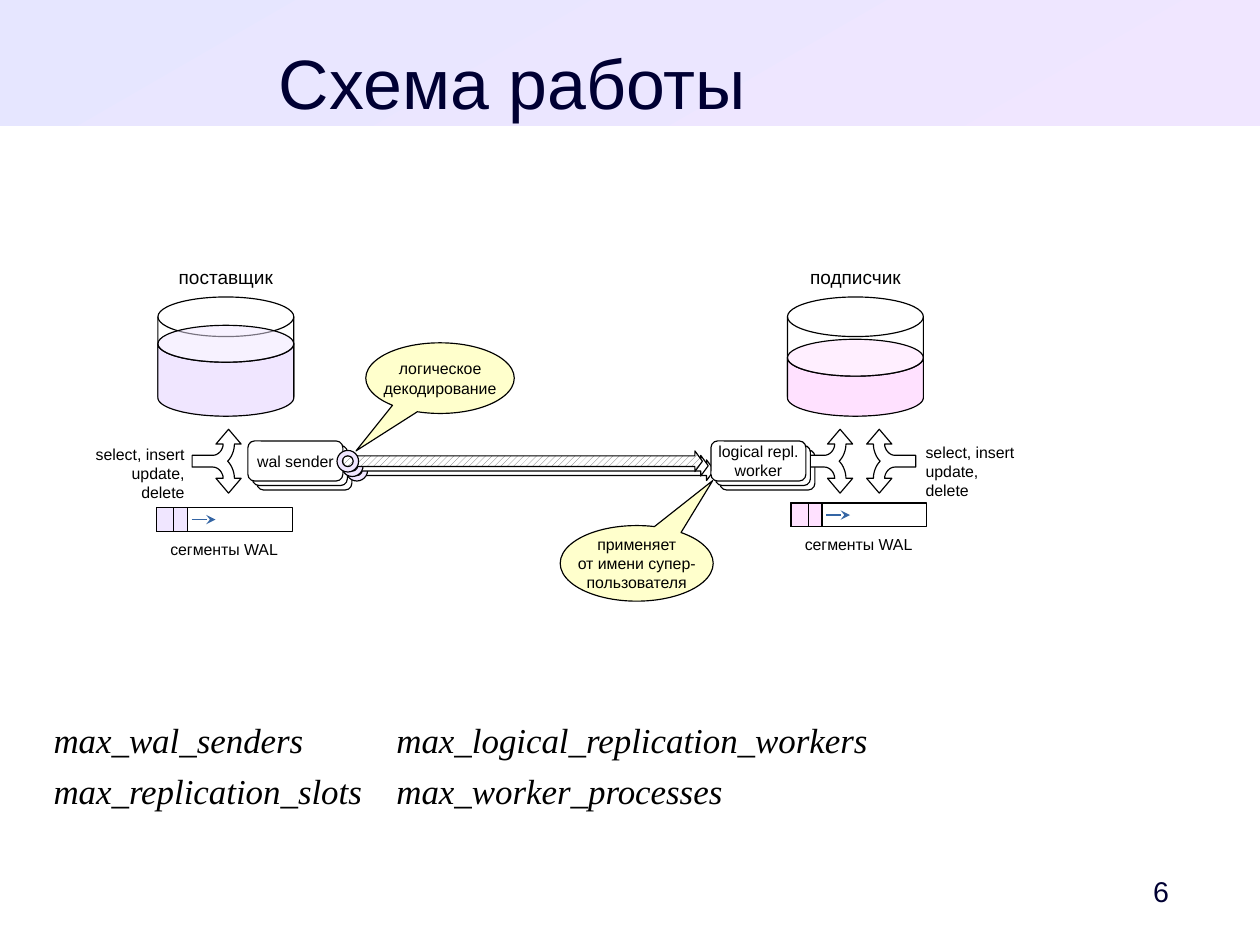
from math import cos, pi, sin

from lxml.etree import SubElement
from pptx import Presentation
from pptx.dml.color import RGBColor
from pptx.enum.dml import MSO_PATTERN
from pptx.enum.shapes import MSO_CONNECTOR, MSO_SHAPE
from pptx.enum.text import MSO_ANCHOR, PP_ALIGN
from pptx.oxml.ns import qn
from pptx.util import Cm, Pt

BLACK = RGBColor(0x00, 0x00, 0x00)
WHITE = RGBColor(0xFF, 0xFF, 0xFF)
NAVY = RGBColor(0x00, 0x00, 0x33)
BLUE = RGBColor(0x34, 0x65, 0xA4)
GRAY = RGBColor(0x66, 0x66, 0x66)
ICE = RGBColor(0xE6, 0xE6, 0xFF)
LILAC = RGBColor(0xF0, 0xE6, 0xFF)
PINK = RGBColor(0xFF, 0xE1, 0xFF)
YELLOW = RGBColor(0xFF, 0xFF, 0xCC)

SMALL = {"name": "Arial", "size": Pt(10)}
HEADING = {"name": "Arial", "size": Pt(12)}
TITLE = {"name": "Arial", "size": Pt(44)}
NUMBER = {"name": "Arial", "size": Pt(18)}
SETTING = {"name": "Times New Roman", "size": Pt(22), "italic": True}

MARGINS = (0.25, 0.13, 0.25, 0.13)
DISK_WIDTH = 3.02
RIM = 0.41


def write(frame, lines, font, align=PP_ALIGN.CENTER, color=BLACK,
          margins=MARGINS, anchor=MSO_ANCHOR.TOP, wrap=False):
    left, top, right, bottom = (Cm(margin) for margin in margins)
    layout = {"margin_left": left, "margin_top": top, "margin_right": right,
              "margin_bottom": bottom, "vertical_anchor": anchor, "word_wrap": wrap}
    for name, value in layout.items():
        setattr(frame, name, value)
    for index, line in enumerate(lines):
        para = frame.add_paragraph() if index else frame.paragraphs[0]
        para.alignment = align
        span = para.add_run()
        span.text = line
        for name, value in font.items():
            setattr(span.font, name, value)
        span.font.color.rgb = color


def add_label(page, place, lines, font=SMALL, **options):
    box = page.shapes.add_textbox(*(Cm(length) for length in place))
    write(box.text_frame, lines, font, **options)
    return box


def paint(shape, color):
    shape.shadow.inherit = False
    if color is None:
        shape.fill.background()
    else:
        shape.fill.solid()
        shape.fill.fore_color.rgb = color
    shape.line.color.rgb = BLACK
    shape.line.width = Pt(0)
    return shape


def add_figure(page, kind, place, color=WHITE, adjust=(), lines=()):
    shape = paint(page.shapes.add_shape(kind, *(Cm(length) for length in place)), color)
    for index, value in enumerate(adjust):
        shape.adjustments[index] = value
    if lines:
        write(shape.text_frame, lines, SMALL, anchor=MSO_ANCHOR.MIDDLE)
    return shape


def add_outline(page, points, color):
    corners = [(Cm(x), Cm(y)) for x, y in points]
    builder = page.shapes.build_freeform(*corners[0])
    builder.add_line_segments(corners[1:], close=True)
    return paint(builder.convert_to_shape(), color)


def curve(a, b, c, d, steps=8):
    for step in range(steps + 1):
        t = step / steps
        weights = ((1 - t) ** 3, 3 * t * (1 - t) ** 2, 3 * t * t * (1 - t), t ** 3)
        yield tuple(sum(w * p[axis] for w, p in zip(weights, (a, b, c, d)))
                    for axis in (0, 1))


def add_fork(page, tail, direction):
    middle = 10.25
    half = [(0, 0.13),
            *curve((0.46, 0.13), (0.58, 0.13), (0.69, 0.25), (0.69, 0.38)),
            (0.53, 0.38), (0.81, 0.71), (1.09, 0.38),
            *curve((0.94, 0.38), (0.94, 0.24), (0.88, 0.09), (0.79, 0))]
    whole = half + [(x, -y) for x, y in reversed(half[:-1])]
    add_outline(page, [(tail + direction * x, middle + y) for x, y in whole], WHITE)


def add_database(page, left, level, color, name):
    base = 8.84
    radius = DISK_WIDTH / 2
    add_figure(page, MSO_SHAPE.FLOWCHART_MAGNETIC_DISK, (left, 6.6, DISK_WIDTH, 2.64))
    arc = [(left + radius + radius * cos(pi * step / 36), RIM * sin(pi * step / 36))
           for step in range(37)]
    bottom = [(x, base + y) for x, y in arc]
    top = [(x, level + y) for x, y in reversed(arc)]
    add_outline(page, bottom + top, color)
    surface = add_figure(page, MSO_SHAPE.OVAL,
                         (left, level - RIM, DISK_WIDTH, 2 * RIM), color)
    tone = surface._element.spPr.find(qn("a:solidFill"))[0]
    SubElement(tone, qn("a:alpha"), val="50000")
    add_label(page, (left, 5.77, DISK_WIDTH, 0.74), [name], HEADING)


def add_segments(page, left, top, color):
    height = 0.53
    for offset, width, fill in ((0, 0.38, color), (0.38, 0.31, color),
                                (0, DISK_WIDTH, None)):
        add_figure(page, MSO_SHAPE.RECTANGLE, (left + offset, top, width, height), fill)
    y = Cm(top + height / 2)
    arrow = page.shapes.add_connector(MSO_CONNECTOR.STRAIGHT,
                                      Cm(left + 0.78), y, Cm(left + 1.31), y)
    arrow.line.color.rgb = BLUE
    arrow.line.width = Pt(0.85)
    SubElement(arrow.line._get_or_add_ln(), qn("a:tailEnd"), type="stealth")
    SubElement(arrow._element.spPr, qn("a:effectLst"))
    add_label(page, (left + 0.05, top + 0.58, 2.9, 0.66), ["сегменты WAL"])


def add_stream(page, depth):
    shift = 0.1 * depth
    pipe = add_figure(page, MSO_SHAPE.RIGHT_ARROW,
                      (7.51 + 0.13 * depth, 10.02 + shift, 8.1, 0.46),
                      adjust=(0.513, 0.365))
    if depth == 0:
        pipe.fill.patterned()
        pipe.fill.pattern = MSO_PATTERN.WIDE_UPWARD_DIAGONAL
        pipe.fill.fore_color.rgb = GRAY
        pipe.fill.back_color.rgb = WHITE
    for left, lines in ((5.51, ["wal sender"]), (15.8, ["logical repl.", "worker"])):
        add_figure(page, MSO_SHAPE.ROUNDED_RECTANGLE,
                   (left + shift, 9.8 + shift, 2.11, 0.89),
                   adjust=(0.167,), lines=() if depth else lines)
    add_figure(page, MSO_SHAPE.DONUT, (7.49 + shift, 10.01 + shift, 0.48, 0.48),
               LILAC, (0.25,))


def add_header(page):
    title = page.shapes.title
    place = {"left": Cm(1.19), "top": Cm(0.74), "width": Cm(20.4), "height": Cm(1.73)}
    for name, value in place.items():
        setattr(title, name, value)
    write(title.text_frame, ["Схема работы"], TITLE, color=NAVY,
          margins=(0, 0.15, 0, 0), wrap=True)
    band = add_figure(page, MSO_SHAPE.RECTANGLE, (0, 0, 28, 2.8))
    band.line.fill.background()
    band.fill.gradient()
    band.fill.gradient_angle = 300
    for stop, color in zip(band.fill.gradient_stops, (ICE, LILAC)):
        stop.color.rgb = color
    title._element.addprevious(band._element)


def add_settings(page):
    box = add_label(page, (1.19, 15.98, 25.6, 2.3),
                    ["max_wal_senders\tmax_logical_replication_workers",
                     "max_replication_slots\tmax_worker_processes"],
                    SETTING, align=PP_ALIGN.LEFT, margins=(0, 0, 0, 0), wrap=True)
    for para in box.text_frame.paragraphs:
        para.space_after = Pt(5.7)
        tabs = SubElement(para._p.get_or_add_pPr(), qn("a:tabLst"))
        SubElement(tabs, qn("a:tab"), pos=str(Cm(7.62)), algn="l")


def main():
    deck = Presentation()
    deck.slide_width, deck.slide_height = Cm(28), Cm(21)
    page = deck.slides.add_slide(deck.slide_layouts[5])
    add_header(page)
    add_database(page, 3.51, 7.64, LILAC, "поставщик")
    add_database(page, 17.5, 7.95, PINK, "подписчик")
    add_segments(page, 3.48, 11.28, LILAC)
    add_segments(page, 17.58, 11.18, PINK)
    add_fork(page, 4.27, 1)
    add_fork(page, 20.35, -1)
    add_stream(page, 2)
    add_fork(page, 17.86, 1)
    add_stream(page, 1)
    add_stream(page, 0)
    queries = ["select, insert", "update, delete"]
    add_label(page, (1.63, 9.75, 2.72, 1.04), queries, align=PP_ALIGN.RIGHT)
    add_label(page, (20.32, 9.7, 2.72, 1.04), queries, align=PP_ALIGN.LEFT)
    add_figure(page, MSO_SHAPE.OVAL_CALLOUT, (12.45, 11.68, 3.4, 1.68), YELLOW,
               (0.497, -1.095), ["применяет", "от имени супер-", "пользователя"])
    add_figure(page, MSO_SHAPE.OVAL_CALLOUT, (8.13, 7.62, 3.3, 1.57), YELLOW,
               (-0.566, 1.029), ["логическое", "декодирование"])
    add_settings(page)
    add_label(page, (24.61, 19.2, 1.37, 1.19), ["6"], NUMBER, align=PP_ALIGN.RIGHT,
              color=NAVY, margins=(0.25, 0.13, 0, 0.13), anchor=MSO_ANCHOR.MIDDLE,
              wrap=True)
    deck.save("out.pptx")


if __name__ == "__main__":
    main()
